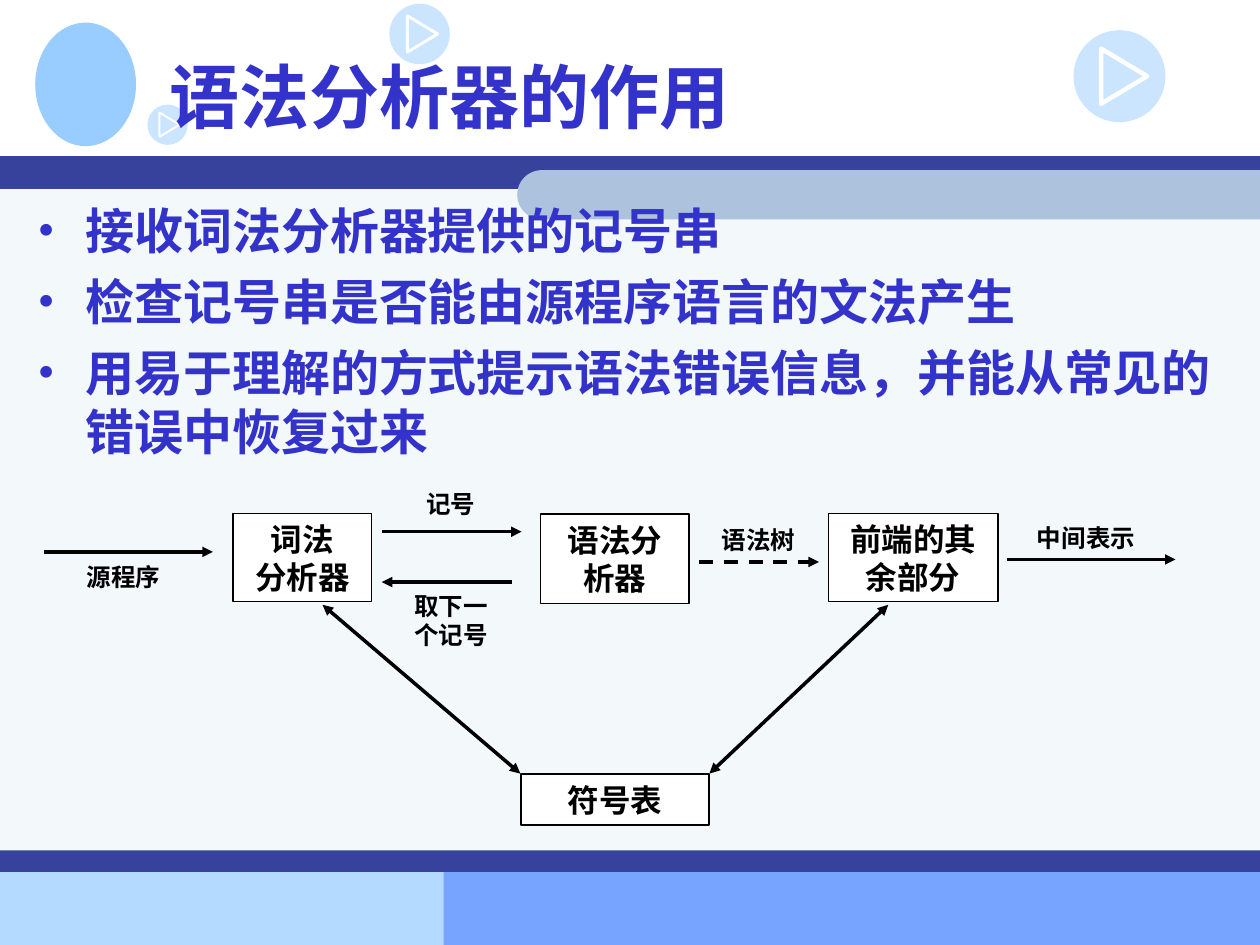
from lxml import etree
from pptx import Presentation
from pptx import util as u
from pptx.dml.color import RGBColor
from pptx.enum import dml, shapes, text
from pptx.oxml.ns import qn

INDIGO = RGBColor(0x33, 0x33, 0xCC)
NAVY = RGBColor(0x36, 0x42, 0x9B)
SKY = RGBColor(0x99, 0xCC, 0xFF)
PALE_BLUE = RGBColor(0xB5, 0xDA, 0xFF)
MID_BLUE = RGBColor(0x77, 0xA4, 0xFF)
MIST = RGBColor(0xF3, 0xF8, 0xFB)
STEEL = RGBColor(0xAD, 0xC3, 0xDD)
WHITE = RGBColor(0xFF, 0xFF, 0xFF)
BLACK = RGBColor(0, 0, 0)

COLUMNS, ROWS = 100, 75
CELL = u.Inches(10) // COLUMNS

TITLE = {"name": "Noto Sans CJK SC", "size": u.Pt(40), "bold": True}
BODY = {"name": "Times New Roman", "size": u.Pt(28), "bold": True}
BOX = {**BODY, "size": u.Pt(18)}
LABEL = {**BODY, "size": u.Pt(14)}

BANDS = [
    ((0, 69.2, 42.5, 5.8), PALE_BLUE),
    ((35.2, 69.1, 64.8, 5.9), MID_BLUE),
    ((0, 14, 100, 55.1), MIST),
    ((0, 12.4, 100, 2.6), NAVY),
    ((0, 67.5, 100, 1.7), NAVY),
]
BADGES = [(30.9, 0.3, 4.8), (85.2, 2.4, 7.3), (11.7, 8.3, 3.2)]
POINTS = [
    "接收词法分析器提供的记号串",
    "检查记号串是否能由源程序语言的文法产生",
    "用易于理解的方式提示语法错误信息，并能从常见的错误中恢复过来",
]
STAGES = [
    ((42.9, 40.8, 11.8, 7.1), ["语法分析器"]),
    ((18.5, 40.75, 11, 7), ["词法", "分析器"]),
    ((41.35, 61.4, 14.95, 4.1), ["符号表"]),
    ((65.75, 40.75, 13.45, 7), ["前端的其余部分"]),
]
FLOWS = [
    ((3.5, 43.8, 16.9, 43.8), {}),
    ((40.6, 46.2, 30.3, 46.2), {}),
    ((30.3, 42.2, 41.4, 42.2), {}),
    ((55.5, 44.6, 65, 44.6), {"dashed": True}),
    ((79.9, 44.4, 93.3, 44.4), {}),
    ((25.6, 48, 41.3, 61.4), {"two_way": True}),
    ((56.3, 61.4, 70.5, 48), {"two_way": True}),
]
LABELS = [
    ((5.1, 44.1, 9.4, 3.4), "源程序"),
    ((31.1, 38.3, 9.4, 3.4), "记号"),
    ((31.1, 46.4, 9.4, 5.7), "取下一个记号"),
    ((55.5, 41.2, 9.4, 3.4), "语法树"),
    ((80.7, 41, 11, 3.4), "中间表示"),
]


def grid(*cells):
    return [round(cell * CELL) for cell in cells]


def add_block(slide, place, color, kind=shapes.MSO_SHAPE.RECTANGLE):
    block = slide.shapes.add_shape(kind, *grid(*place))
    block.shadow.inherit = False
    block.fill.solid()
    block.fill.fore_color.rgb = color
    block.line.fill.background()
    return block


def add_badge(slide, left, top, size):
    disc = add_block(slide, (left, top, size, size), SKY, shapes.MSO_SHAPE.OVAL)
    tint = disc.fill._xPr.find(".//" + qn("a:srgbClr"))
    etree.SubElement(tint, qn("a:alpha"), val="50000")
    corners = [grid(left + x * size, top + y * size)
               for x, y in [(0.3, 0.2), (0.8, 0.5), (0.3, 0.8)]]
    outline = slide.shapes.build_freeform(*corners[0])
    outline.add_line_segments(corners[1:], close=True)
    play = outline.convert_to_shape()
    play.shadow.inherit = False
    play.fill.background()
    play.line.color.rgb = WHITE
    play.line.width = u.Pt(round(size * 0.35, 2))


def write(frame, lines, style, color, align, anchor, before=0, bulleted=False):
    frame.word_wrap = True
    frame.vertical_anchor = anchor
    for number, line in enumerate(lines):
        paragraph = frame.add_paragraph() if number else frame.paragraphs[0]
        paragraph.alignment = align
        paragraph.space_before = u.Pt(before if number else 0)
        if bulleted:
            add_bullet(paragraph)
        run = paragraph.add_run()
        run.text = line
        for key, value in style.items():
            setattr(run.font, key, value)
        run.font.color.rgb = color


def add_bullet(paragraph):
    properties = paragraph._p.get_or_add_pPr()
    indent = u.Inches(0.38)
    properties.set("marL", str(indent))
    properties.set("indent", str(-indent))
    etree.SubElement(properties, qn("a:buFont"), typeface="Times New Roman")
    etree.SubElement(properties, qn("a:buChar"), char="•")


def add_words(slide, place, lines, style, color, **layout):
    words = slide.shapes.add_textbox(*grid(*place))
    write(words.text_frame, lines, style, color, **layout)


def add_stage(slide, place, lines):
    stage = add_block(slide, place, WHITE)
    stage.line.color.rgb = BLACK
    stage.line.width = u.Pt(1)
    write(stage.text_frame, lines, BOX, BLACK,
          text.PP_ALIGN.CENTER, text.MSO_ANCHOR.MIDDLE)


def add_flow(slide, ends, dashed=False, two_way=False):
    flow = slide.shapes.add_connector(shapes.MSO_CONNECTOR.STRAIGHT, *grid(*ends))
    flow.line.color.rgb = BLACK
    flow.line.width = u.Pt(2)
    if dashed:
        flow.line.dash_style = dml.MSO_LINE.DASH
    stroke = flow.line._get_or_add_ln()
    for end in ["headEnd", "tailEnd"] if two_way else ["tailEnd"]:
        etree.SubElement(stroke, qn("a:" + end), type="triangle")
    etree.SubElement(flow._element.spPr, qn("a:effectLst"))


def add_backdrop(slide):
    for place, color in BANDS:
        add_block(slide, place, color)
    tab = add_block(slide, (68.6, -14.05, 3.9, 59), STEEL,
                    shapes.MSO_SHAPE.ROUND_2_SAME_RECTANGLE)
    tab.adjustments[0] = 0.5
    tab.rotation = 270
    add_block(slide, (2.8, 1.8, 8, 9.8), SKY, shapes.MSO_SHAPE.OVAL)
    for badge in BADGES:
        add_badge(slide, *badge)


def main():
    deck = Presentation()
    deck.slide_width, deck.slide_height = grid(COLUMNS, ROWS)
    slide = deck.slides.add_slide(deck.slide_layouts[6])
    add_backdrop(slide)
    add_words(slide, (12.5, 1.7, 85, 11.7), ["语法分析器的作用"], TITLE, INDIGO,
              align=text.PP_ALIGN.LEFT, anchor=text.MSO_ANCHOR.MIDDLE)
    add_words(slide, (2, 15.4, 96.1, 49.6), POINTS, BODY, INDIGO,
              align=text.PP_ALIGN.LEFT, anchor=text.MSO_ANCHOR.TOP,
              before=7, bulleted=True)
    for place, lines in STAGES:
        add_stage(slide, place, lines)
    for ends, look in FLOWS:
        add_flow(slide, ends, **look)
    for place, label in LABELS:
        add_words(slide, place, [label], LABEL, BLACK,
                  align=text.PP_ALIGN.CENTER, anchor=text.MSO_ANCHOR.TOP)
    deck.save("out.pptx")


if __name__ == "__main__":
    main()
